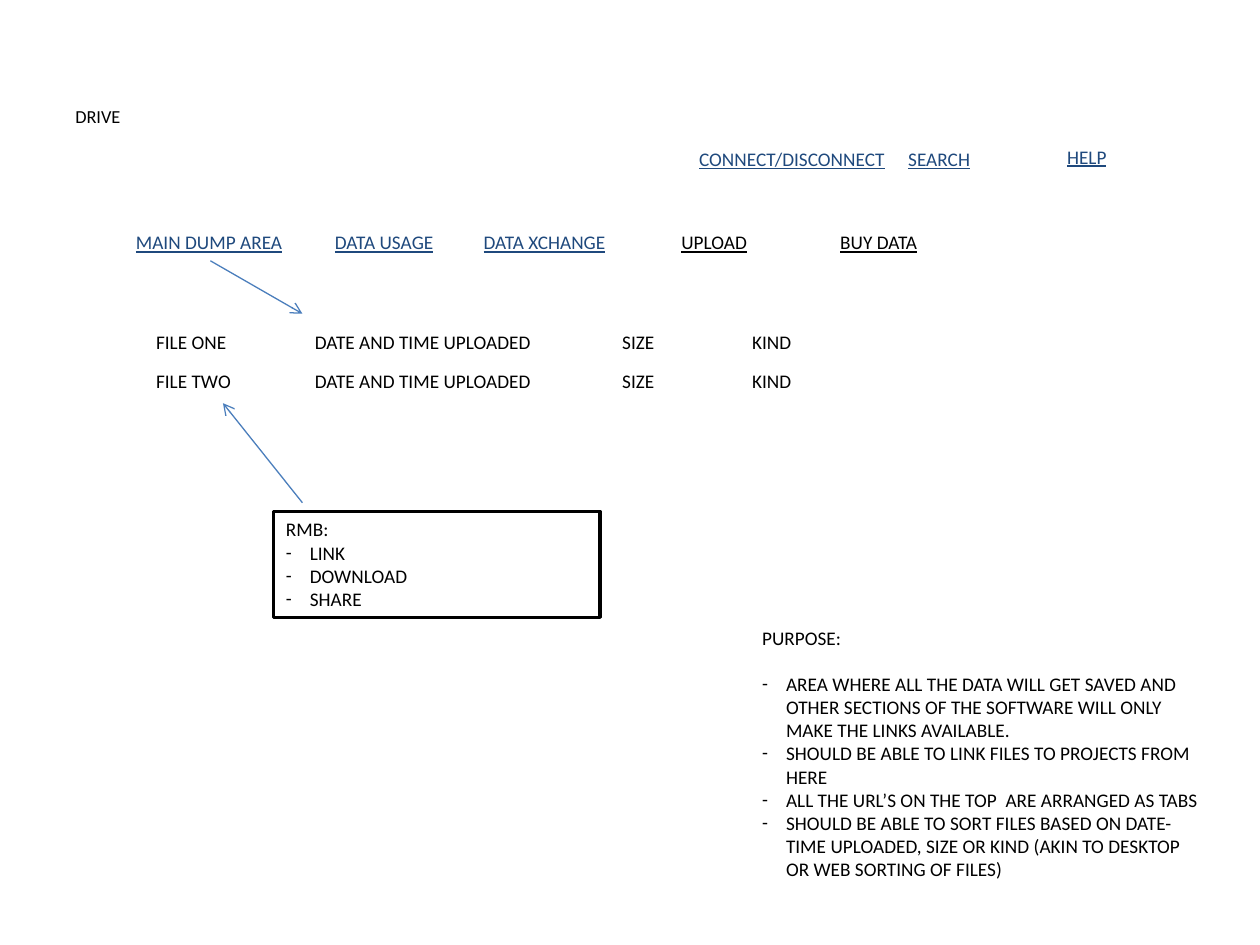
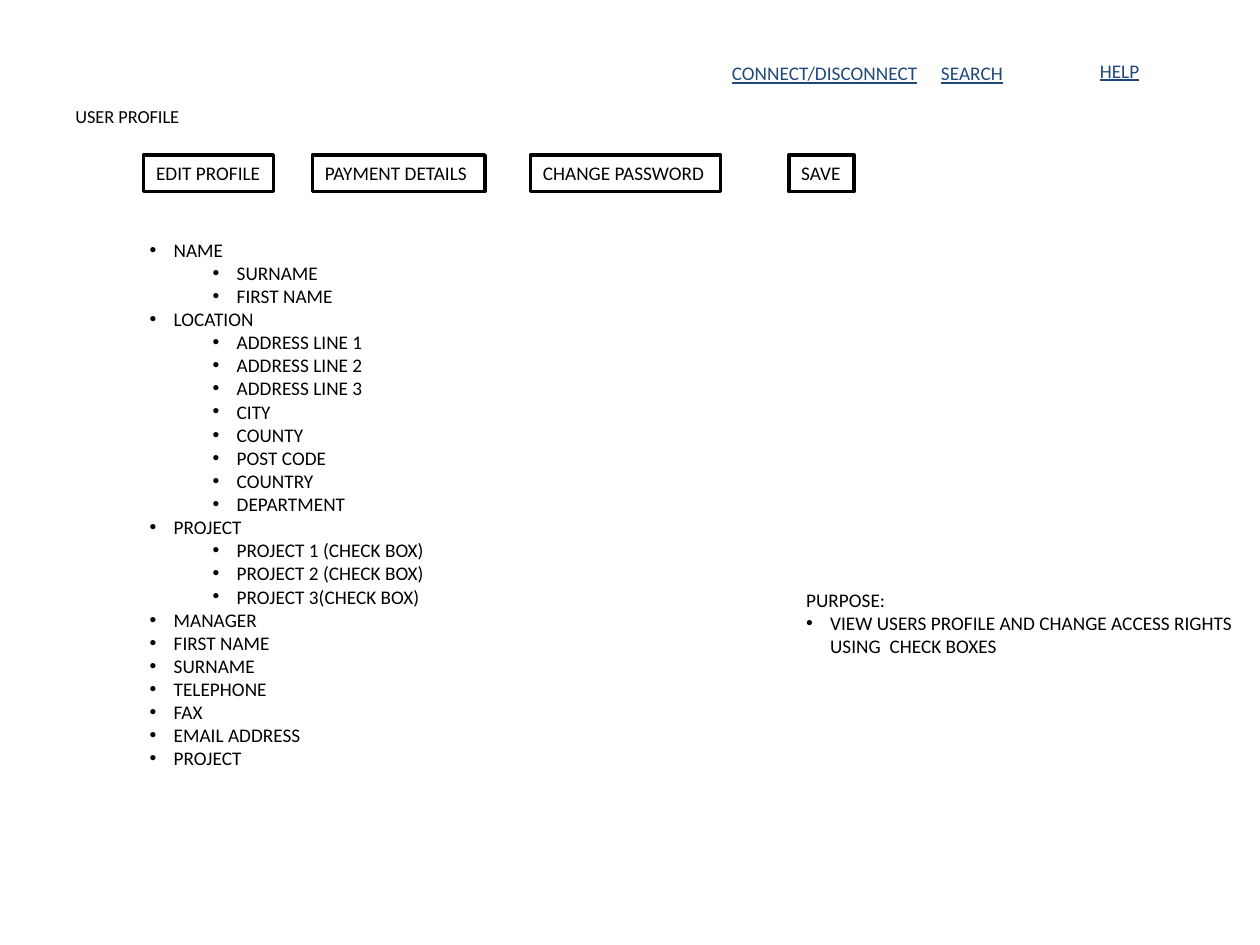
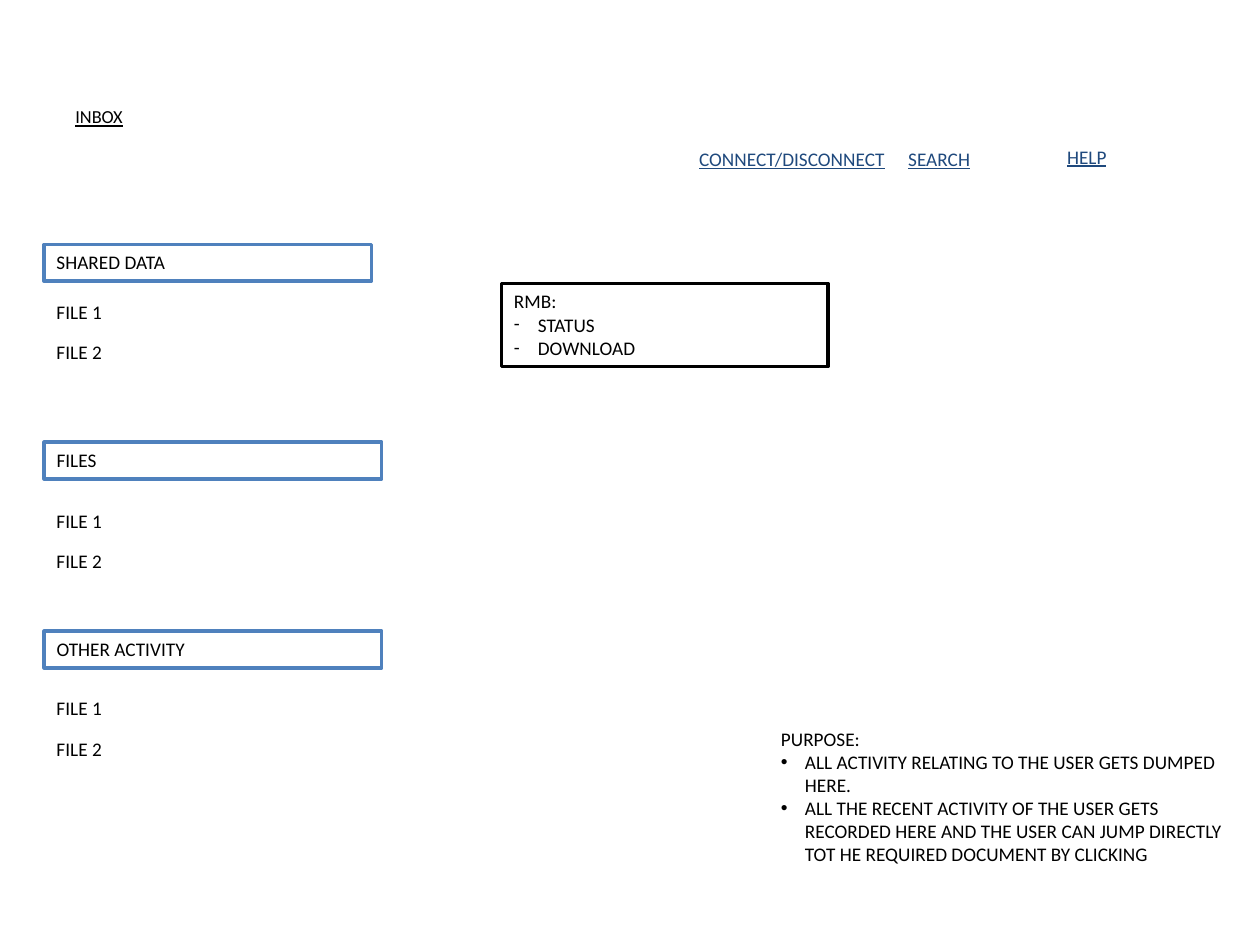
"""Build three wireframe slides: drive, user profile and inbox."""
from lxml import etree
from pptx import Presentation
from pptx.dml.color import RGBColor
from pptx.enum import shapes, text
from pptx.oxml import ns
from pptx.util import Inches, Pt

COLORS = {"ink": "000000", "link": "1F497D", "paper": "FFFFFF", "accent": "4F81BD", "arrow": "4B7EBC"}
FONT = "Calibri"
ROW = 0.29
INDENT = 0.19


def write(slide, content, left, top, width, height=ROW, size=11, color="ink", underline=False,
          wrap=False, border=None, bullet="•", anchor=text.MSO_ANCHOR.TOP, heading_gap=0, grow=True):
    """Write a string, or (level, text) lines where level None means no bullet."""
    place = [Inches(length) for length in (left, top, width, height)]
    if border:
        box = slide.shapes.add_shape(shapes.MSO_SHAPE.RECTANGLE, *place)
        box.shadow.inherit = False
        box.fill.solid()
        box.fill.fore_color.rgb = RGBColor.from_string(COLORS["paper"])
        box.line.color.rgb = RGBColor.from_string(COLORS[border])
        box.line.width = Pt(2)
    else:
        box = slide.shapes.add_textbox(*place)
    frame = box.text_frame
    frame.word_wrap = wrap
    frame.vertical_anchor = anchor
    frame.auto_size = text.MSO_AUTO_SIZE.SHAPE_TO_FIT_TEXT if grow else text.MSO_AUTO_SIZE.NONE
    lines = [(None, content)] if isinstance(content, str) else content
    for index, (level, words) in enumerate(lines):
        paragraph = frame.paragraphs[0] if index == 0 else frame.add_paragraph()
        paragraph.alignment = text.PP_ALIGN.LEFT
        run = paragraph.add_run()
        run.text = words
        run.font.name = FONT
        run.font.size = Pt(size)
        run.font.underline = underline
        run.font.color.rgb = RGBColor.from_string(COLORS[color])
        if level is None:
            paragraph.space_after = Pt(heading_gap)
            continue
        paragraph.level = level
        properties = paragraph._p.get_or_add_pPr()
        properties.set("marL", str(Inches(INDENT + 0.5 * level)))
        properties.set("indent", str(Inches(-INDENT)))
        face = "Arial" if bullet == "•" else FONT
        etree.SubElement(properties, ns.qn("a:buFont"), typeface=face)
        etree.SubElement(properties, ns.qn("a:buChar"), char=bullet)


def start_page(title, title_width, underline=False, shift=0, rise=0):
    """Add a slide with its title and the shared links."""
    slide = deck.slides.add_slide(deck.slide_layouts[6])
    write(slide, title, 0.5, 0.3, title_width, 1.25, size=10.5, underline=underline,
          wrap=True, anchor=text.MSO_ANCHOR.MIDDLE, grow=False)
    for label, left, top, width in (("CONNECT/DISCONNECT", 5.45, 1.12, 1.7),
                                    ("SEARCH", 7.11, 1.12, 0.7), ("HELP", 8.37, 1.1, 0.52)):
        write(slide, label, left + shift, top - rise, width, color="link", underline=True)
    return slide


deck = Presentation()
deck.slide_width, deck.slide_height = Inches(10), Inches(7.5)

drive = start_page("DRIVE ", 9)
for label, left, width, color in (("MAIN DUMP AREA", 0.98, 1.37, "link"), ("DATA USAGE", 2.56, 1.02, "link"),
                                  ("DATA XCHANGE", 3.74, 1.21, "link"), ("UPLOAD", 5.31, 0.73, "ink"),
                                  ("BUY DATA", 6.57, 0.85, "ink")):
    write(drive, label, left, 1.78, width, color=color, underline=True)
for top, file_name, name_width in ((2.57, "FILE ONE", 0.76), (2.88, "FILE TWO", 0.8)):
    for label, left, width in ((file_name, 1.14, name_width), ("DATE AND TIME UPLOADED", 2.4, 1.95),
                               ("SIZE", 4.84, 0.46), ("KIND", 5.87, 0.52)):
        write(drive, label, left, top, width)
write(drive, [(None, "RMB:"), (0, "LINK"), (0, "DOWNLOAD"), (0, "SHARE")],
      2.17, 4.06, 2.59, 0.84, wrap=True, border="ink", bullet="-")
write(drive, [
    (None, "PURPOSE:"),
    (0, "AREA WHERE ALL THE DATA WILL GET SAVED AND OTHER SECTIONS OF THE SOFTWARE "
        "WILL ONLY MAKE THE LINKS AVAILABLE. "),
    (0, "SHOULD BE ABLE TO LINK FILES TO PROJECTS FROM HERE"),
    (0, "ALL THE URL’S ON THE TOP  ARE ARRANGED AS TABS "),
    (0, "SHOULD BE ABLE TO SORT FILES BASED ON DATE-TIME UPLOADED, SIZE OR KIND "
        "(AKIN TO DESKTOP OR WEB SORTING OF FILES)"),
], 5.95, 4.92, 3.73, 2.14, wrap=True, bullet="-", heading_gap=13.2)
for ends in ((2.4, 3.99, 1.77, 3.2), (1.67, 2.07, 2.4, 2.49)):
    arrow = drive.shapes.add_connector(shapes.MSO_CONNECTOR.STRAIGHT, *[Inches(end) for end in ends])
    arrow.line.color.rgb = RGBColor.from_string(COLORS["arrow"])
    arrow.line.width = Pt(0.75)
    etree.SubElement(arrow.line._get_or_add_ln(), ns.qn("a:tailEnd"), type="arrow")
    etree.SubElement(arrow._element.spPr, ns.qn("a:effectLst"))

profile = start_page("USER PROFILE ", 1.43, shift=0.26, rise=0.68)
for label, left, width in (("EDIT PROFILE", 1.14, 1.03), ("PAYMENT DETAILS", 2.48, 1.37),
                           ("CHANGE PASSWORD ", 4.21, 1.51), ("SAVE", 6.26, 0.52)):
    write(profile, label, left, 1.23, width, border="ink")
fields = (
    ("NAME", ("SURNAME", "FIRST NAME")),
    ("LOCATION", ("ADDRESS LINE 1", "ADDRESS LINE 2", "ADDRESS LINE 3", "CITY", "COUNTY ",
                  "POST CODE", "COUNTRY", "DEPARTMENT ")),
    ("PROJECT ", ("PROJECT 1 (CHECK BOX)", "PROJECT 2 (CHECK BOX)", "PROJECT 3(CHECK BOX)")),
    ("MANAGER ", ()), ("FIRST NAME ", ()), ("SURNAME ", ()), ("TELEPHONE ", ()),
    ("FAX", ()), ("EMAIL ADDRESS ", ()), ("PROJECT", ()),
)
field_lines = []
for field, details in fields:
    field_lines += [(1, field)] + [(2, detail) for detail in details]
write(profile, field_lines, 0.59, 1.84, 5, 4.36, wrap=True)
write(profile, [(None, "PURPOSE:"),
                (0, "VIEW USERS PROFILE AND CHANGE ACCESS RIGHTS USING  CHECK BOXES")],
      6.3, 4.62, 3.7, 0.66, wrap=True)

inbox = start_page("INBOX", 1.51, underline=True)
for section, top, width, first_file in (("SHARED DATA ", 1.94, 2.6, 2.33), ("FILES ", 3.51, 2.68, 3.99),
                                        ("OTHER ACTIVITY ", 5.01, 2.68, 5.48)):
    write(inbox, section, 0.35, top, width, wrap=True, border="accent")
    write(inbox, "FILE 1 ", 0.35, first_file, 0.6)
    write(inbox, "FILE 2", 0.35, first_file + 0.32, 0.56)
write(inbox, [(None, "RMB:"), (0, "STATUS "), (0, "DOWNLOAD ")],
      3.98, 2.25, 2.59, 0.66, wrap=True, border="ink", bullet="-")
write(inbox, [
    (None, "PURPOSE:"),
    (0, "ALL ACTIVITY RELATING TO THE USER GETS DUMPED HERE. "),
    (0, "ALL THE RECENT ACTIVITY OF THE USER GETS RECORDED HERE AND THE USER CAN JUMP "
        "DIRECTLY TOT HE REQUIRED DOCUMENT BY CLICKING"),
], 6.1, 5.72, 3.7, 1.4, wrap=True)

deck.save("out.pptx")
